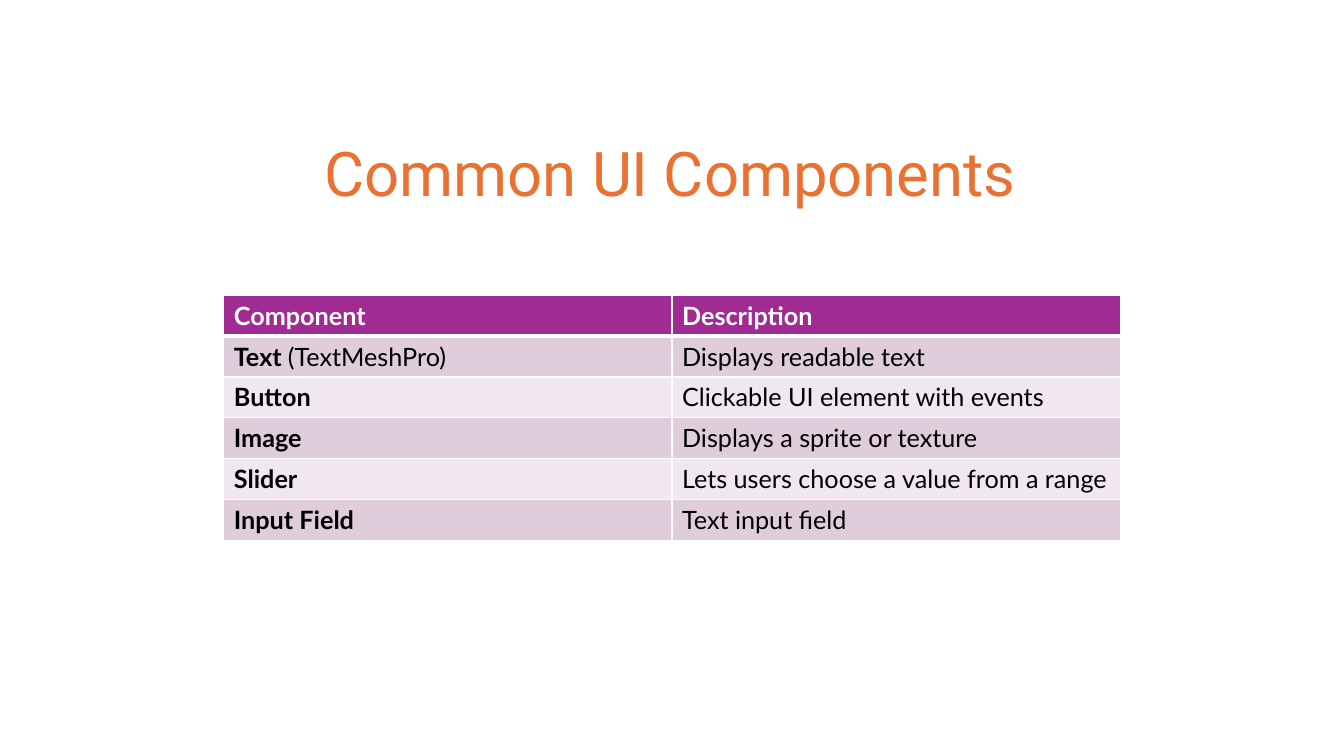
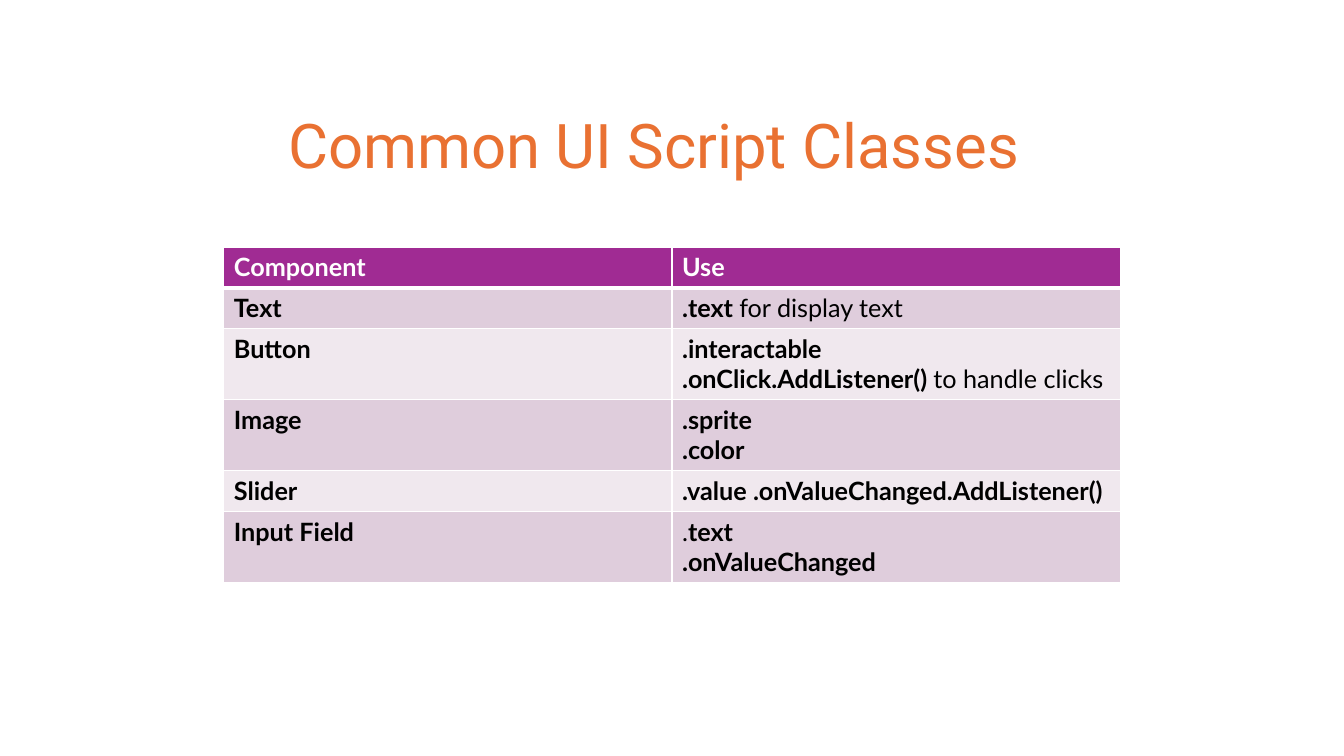
import dataclasses
import lxml.etree
import pptx
import pptx.dml.color
import pptx.enum.text
import pptx.oxml.ns
import pptx.util

Inches = pptx.util.Inches
Pt = pptx.util.Pt


@dataclasses.dataclass(frozen=True)
class Theme:
    """Colours, fonts, type sizes and line widths of the deck."""
    accent: str = "E97132"
    head: str = "A02B93"
    bands: tuple = ("DFCDDC", "F0E8EE")
    white: str = "FFFFFF"
    ink: str = "000000"
    title: str = "Roboto"
    body: str = "Lato"
    big: int = 44
    small: int = 18
    thin: int = 1
    thick: int = 3


class Deck:
    """Holds the theme, the file and the current slide."""

    def __init__(self, theme):
        """Start an empty wide deck."""
        self.theme = theme
        self.file = pptx.Presentation()
        self.file.slide_width = Inches(13.33)
        self.file.slide_height = Inches(7.5)
        self.slide = None

    def page(self):
        """Add a blank slide and make it current."""
        self.slide = self.file.slides.add_slide(self.file.slide_layouts[6])

    def run(self, para, text, font, size, hue, bold=False):
        """Add one styled run to a paragraph."""
        run = para.add_run()
        run.text = text
        run.font.name = font
        run.font.size = Pt(size)
        run.font.bold = bold
        run.font.color.rgb = pptx.dml.color.RGBColor.from_string(hue)

    def title(self, text, left, top, width):
        """Add the slide title."""
        look = self.theme
        box = self.slide.shapes.add_textbox(
            Inches(left), Inches(top), Inches(width), Inches(0.84))
        frame = box.text_frame
        frame.word_wrap = True
        frame.auto_size = pptx.enum.text.MSO_AUTO_SIZE.SHAPE_TO_FIT_TEXT
        self.run(frame.paragraphs[0], text, look.title, look.big, look.accent)

    def edge(self, cell, side, width):
        """Draw one white border of a cell."""
        name = pptx.oxml.ns.qn
        props = cell._tc.get_or_add_tcPr()
        line = lxml.etree.SubElement(props, name("a:ln" + side), w=str(Pt(width)))
        fill = lxml.etree.SubElement(line, name("a:solidFill"))
        lxml.etree.SubElement(fill, name("a:srgbClr"), val=self.theme.white)

    def cell(self, cell, paras, row):
        """Fill one cell with paragraphs of runs."""
        look = self.theme
        for side in "LRTB":
            heavy = (row, side) in ((0, "B"), (1, "T"))
            self.edge(cell, side, look.thick if heavy else look.thin)
        fill = look.bands[(row - 1) % 2] if row else look.head
        cell.fill.solid()
        cell.fill.fore_color.rgb = pptx.dml.color.RGBColor.from_string(fill)
        hue = look.ink if row else look.white
        frame = cell.text_frame
        for num, runs in enumerate(paras):
            para = frame.add_paragraph() if num else frame.paragraphs[0]
            for text, bold in runs:
                self.run(para, text, look.body, look.small, hue, bold)

    def table(self, top, rows):
        """Add a banded table whose rows fit their line counts."""
        width = 8.89
        tall = [2.43 / 6 + 0.3 * (max(map(len, row)) - 1) for row in rows]
        grid = self.slide.shapes.add_table(
            len(rows), len(rows[0]), Inches(2.22), Inches(top),
            Inches(width), Inches(sum(tall))).table
        for col in grid.columns:
            col.width = Inches(width / len(rows[0]))
        for num, row in enumerate(rows):
            grid.rows[num].height = Inches(tall[num])
            for col, paras in enumerate(row):
                self.cell(grid.cell(num, col), paras, num)


def bold(*lines):
    """Return one bold run per paragraph."""
    return [[(line, True)] for line in lines]


def plain(text):
    """Return one paragraph with a plain run."""
    return [[(text, False)]]


def mix(lead, rest):
    """Return one paragraph with a bold lead and a plain rest."""
    return [[(lead, True), (rest, False)]]


PARTS = [
    (bold("Component"), bold("Description")),
    (mix("Text ", "(TextMeshPro)"), plain("Displays readable text")),
    (bold("Button"), plain("Clickable UI element with events")),
    (bold("Image"), plain("Displays a sprite or texture")),
    (bold("Slider"), plain("Lets users choose a value from a range")),
    (bold("Input Field"), plain("Text input field")),
]

USES = [
    (bold("Component"), bold("Use")),
    (bold("Text"), mix(".text ", "for display text")),
    (bold("Button"), bold(".interactable")
     + mix(".onClick.AddListener() ", "to handle clicks")),
    (bold("Image"), bold(".sprite", ".color")),
    (bold("Slider"), bold(".value .onValueChanged.AddListener()")),
    (bold("Input Field"), [[(".", False), ("text", True)]]
     + bold(".onValueChanged")),
]


def main():
    """Build and save both slides."""
    deck = Deck(Theme())
    deck.page()
    deck.title("Common UI Components", 3.12, 1.29, 7.1)
    deck.table(2.93, PARTS)
    deck.page()
    deck.title("Common UI Script Classes", 2.76, 1.01, 7.63)
    deck.table(2.45, USES)
    deck.file.save("out.pptx")


if __name__ == "__main__":
    main()
